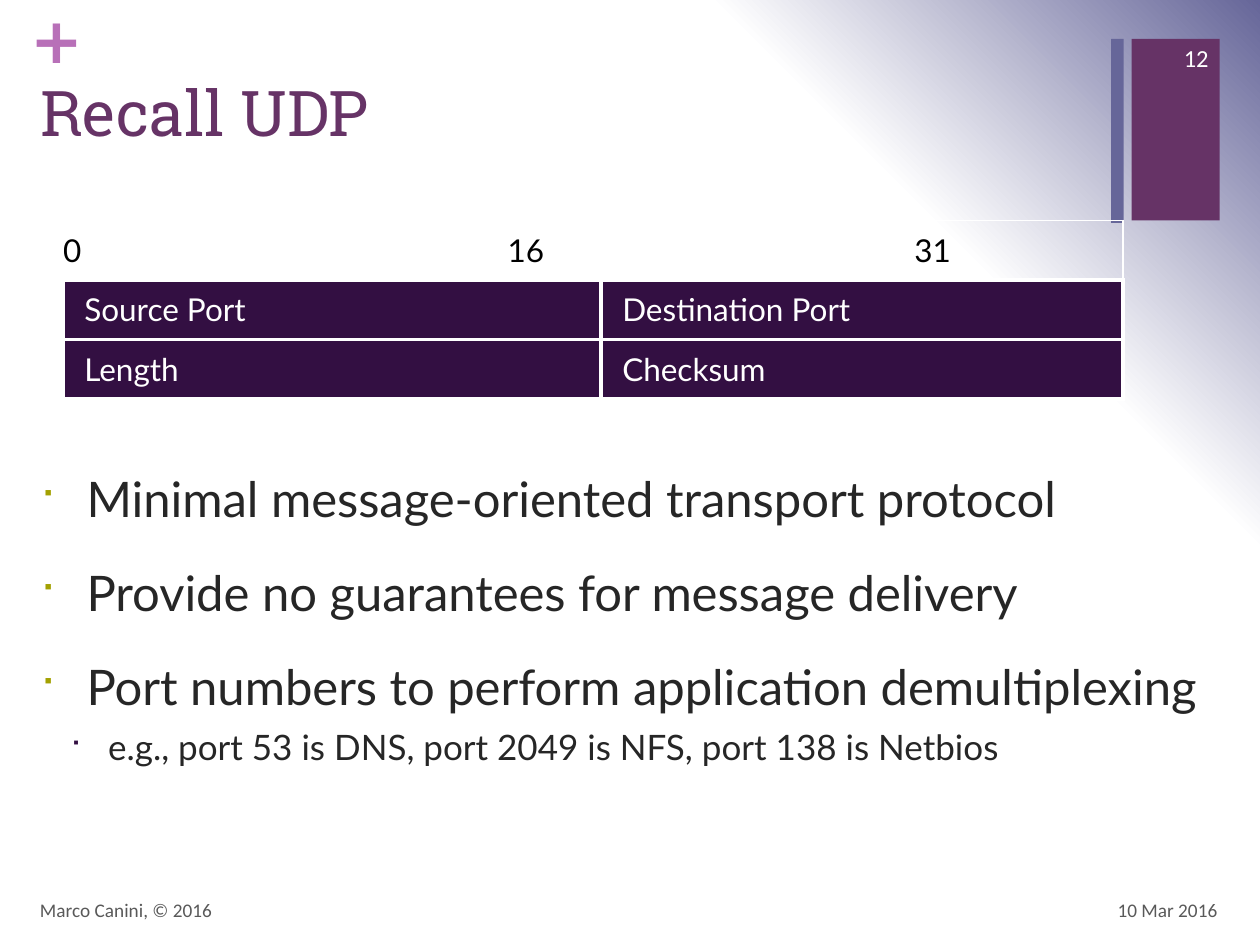
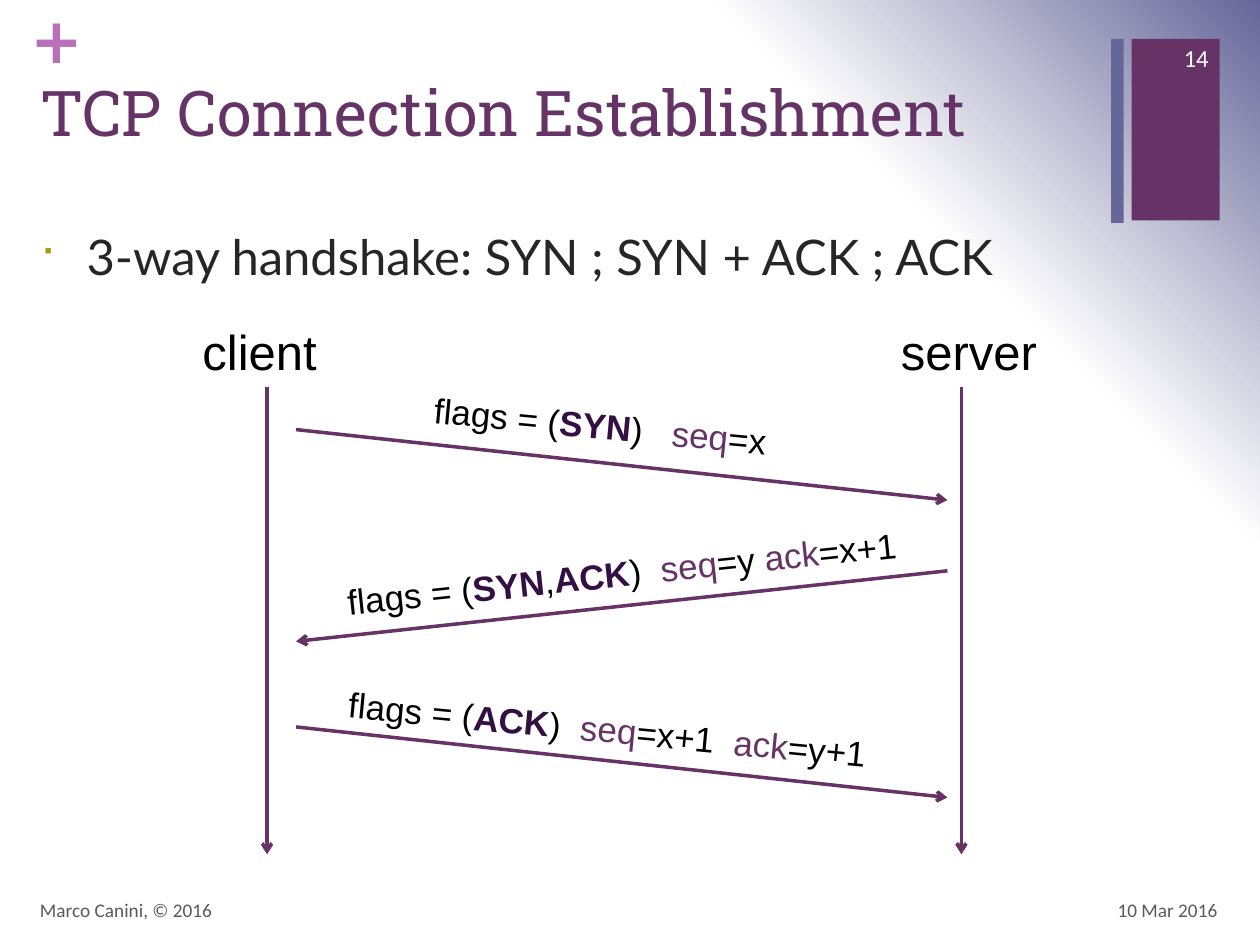
from dataclasses import dataclass

from pptx import Presentation
from pptx.dml.color import RGBColor
from pptx.enum.shapes import MSO_CONNECTOR, MSO_SHAPE
from pptx.enum.text import MSO_ANCHOR, PP_ALIGN
from pptx.oxml import parse_xml
from pptx.oxml.ns import nsdecls, qn
from pptx.util import Pt


@dataclass(frozen=True)
class Theme:
    # Colours
    purple: str = "663366"
    dark_purple: str = "330F42"
    slate: str = "666699"
    orchid: str = "B870B8"
    olive: str = "A3A101"
    body_text: str = "262626"
    footer_text: str = "595959"
    black: str = "000000"
    white: str = "FFFFFF"
    # Fonts
    title_font: str = "Roboto Slab"
    body_font: str = "Lato"
    diagram_font: str = "Arial"
    footer_font: str = "Calibri"
    plus_font: str = "DejaVu Sans"
    # Type sizes
    title_size: float = 36
    body_size: float = 28
    detail_size: float = 20
    table_size: float = 18
    number_size: float = 14
    footer_size: float = 11


THEME = Theme()
SPACE_WIDTH = 0.28  # width of a space, as a share of the type size


def add_run(paragraph, text, *, size, font, color, bold=False, spacing=0):
    run = paragraph.add_run()
    run.text = text
    run.font.size = Pt(size)
    run.font.name = font
    run.font.bold = bold
    run.font.color.rgb = RGBColor.from_string(color)
    if spacing:
        run._r.get_or_add_rPr().set("spc", str(round(spacing * 100)))


def add_properties(paragraph, *elements):
    properties = paragraph._p.get_or_add_pPr()
    for element in elements:
        properties.append(parse_xml(element.replace(" ", f" {nsdecls('a')} ", 1)))
    return properties


class Deck:
    def __init__(self, theme):
        self.theme = theme
        self.presentation = Presentation()
        self.presentation.slide_width = Pt(720)
        self.presentation.slide_height = Pt(540)
        self.slide = None

    # Shared slide frame
    def add_slide(self, title, number):
        theme = self.theme
        self.slide = self.presentation.slides.add_slide(
            self.presentation.slide_layouts[6])
        self.paint_background()
        self.rectangle(646.6, 22.3, 50.4, 103.7, theme.purple)
        self.text(17.3, 0, 20.9, 43.9, "+", inset=0, size=theme.title_size,
                  font=theme.plus_font, color=theme.orchid, bold=True)
        self.rectangle(635, 22.3, 7.2, 105.1, theme.slate)
        self.text(15.8, 38.2, 618.5, 87.8, title, size=theme.title_size,
                  font=theme.title_font, color=theme.purple)
        footer = dict(anchor=MSO_ANCHOR.MIDDLE, font=theme.footer_font)
        small = dict(footer, size=theme.footer_size, color=theme.footer_text)
        self.text(535, 505.4, 167.8, 28.8, "10 Mar 2016",
                  align=PP_ALIGN.RIGHT, **small)
        self.text(15.8, 505.4, 482.4, 28.8, "Marco Canini, © 2016", **small)
        self.text(653.8, 18.7, 43.9, 28.8, str(number), align=PP_ALIGN.RIGHT,
                  size=theme.number_size, color=theme.white, **footer)

    def paint_background(self):
        self.slide.background.fill.gradient()
        gradient = next(self.slide.element.iter(qn("a:gradFill")))
        stops = "".join(
            f'<a:gs pos="{position * 1000}"><a:srgbClr val="{color}"/></a:gs>'
            for position, color in ((0, self.theme.white), (75, self.theme.white),
                                    (100, self.theme.slate)))
        gradient.getparent().replace(gradient, parse_xml(
            f'<a:gradFill {nsdecls("a")} rotWithShape="1"><a:gsLst>{stops}</a:gsLst>'
            '<a:path path="circle"><a:fillToRect t="100000" r="100000"/></a:path>'
            '</a:gradFill>'))

    # Elements
    def rectangle(self, left, top, width, height, color):
        shape = self.slide.shapes.add_shape(
            MSO_SHAPE.RECTANGLE, Pt(left), Pt(top), Pt(width), Pt(height))
        shape.shadow.inherit = False
        shape.fill.solid()
        shape.fill.fore_color.rgb = RGBColor.from_string(color)
        shape.line.fill.background()

    def text_box(self, left, top, width, height, *, inset=None, rotation=0,
                 anchor=MSO_ANCHOR.TOP):
        box = self.slide.shapes.add_textbox(Pt(left), Pt(top), Pt(width), Pt(height))
        box.rotation = rotation
        frame = box.text_frame
        frame.word_wrap = True
        frame.vertical_anchor = anchor
        if inset is not None:
            frame.margin_left = frame.margin_right = Pt(inset)
            frame.margin_top = frame.margin_bottom = Pt(inset)
        return frame

    def text(self, left, top, width, height, text, *, align=PP_ALIGN.LEFT,
             anchor=MSO_ANCHOR.TOP, inset=None, **format):
        frame = self.text_box(left, top, width, height, inset=inset, anchor=anchor)
        paragraph = frame.paragraphs[0]
        paragraph.alignment = align
        add_run(paragraph, text, **format)

    def bullets(self, top, height, items):
        theme = self.theme
        # level: indent, hanging, space before, bullet colour, type size
        levels = ((26.6, 26.6, 20, theme.olive, theme.body_size),
                  (38.9, 21.6, 6, theme.dark_purple, theme.detail_size))
        frame = self.text_box(15.8, top, 686.9, height)
        for index, (level, text) in enumerate(items):
            indent, hanging, space, color, size = levels[level]
            paragraph = frame.add_paragraph() if index else frame.paragraphs[0]
            properties = add_properties(
                paragraph,
                f'<a:buClr ><a:srgbClr val="{color}"/></a:buClr>',
                '<a:buSzPct val="75000"/>',
                '<a:buFont typeface="Wingdings"/>',
                '<a:buChar char="■"/>')
            properties.set("marL", str(Pt(indent)))
            properties.set("indent", str(-Pt(hanging)))
            paragraph.level = level
            if index:
                paragraph.space_before = Pt(space)
            add_run(paragraph, text, size=size, font=theme.body_font,
                    color=theme.body_text)

    def header_table(self, left, top, widths, row_height, bits, tab_stops, rows):
        theme = self.theme
        table = self.slide.shapes.add_table(
            len(rows) + 1, len(widths), Pt(left), Pt(top), Pt(sum(widths)),
            Pt(row_height * (len(rows) + 1))).table
        table.first_row = table.horz_banding = False
        for column, width in zip(table.columns, widths):
            column.width = Pt(width)
        for row in table.rows:
            row.height = Pt(row_height)
        # Bit positions across the top
        ruler = table.cell(0, 0)
        ruler.merge(table.cell(0, len(widths) - 1))
        tabs = "".join(f'<a:tab pos="{Pt(stop)}" algn="l"/>' for stop in tab_stops)
        add_properties(ruler.text_frame.paragraphs[0],
                       f'<a:tabLst >{tabs}</a:tabLst>')
        self.fill_cell(ruler, "\t".join(bits), theme.black, margin=0, sides="B")
        # Header fields
        for row_index, fields in enumerate(rows, 1):
            for column_index, field in enumerate(fields):
                self.fill_cell(table.cell(row_index, column_index), field,
                               theme.white, fill=theme.dark_purple)

    def fill_cell(self, cell, text, color, *, fill=None, margin=12.2, sides="LRTB"):
        theme = self.theme
        cell.vertical_anchor = MSO_ANCHOR.MIDDLE
        cell.margin_left = cell.margin_right = Pt(margin)
        cell.margin_top = cell.margin_bottom = Pt(3.6)
        properties = cell._tc.get_or_add_tcPr()
        for side in sides:
            properties.append(parse_xml(
                f'<a:ln{side} {nsdecls("a")} w="{Pt(2.25)}"><a:solidFill>'
                f'<a:srgbClr val="{theme.white}"/></a:solidFill></a:ln{side}>'))
        if fill:
            cell.fill.solid()
            cell.fill.fore_color.rgb = RGBColor.from_string(fill)
        else:
            cell.fill.background()
        add_run(cell.text_frame.paragraphs[0], text, size=theme.table_size,
                font=theme.body_font, color=color)

    def arrow(self, start_x, start_y, end_x, end_y):
        connector = self.slide.shapes.add_connector(
            MSO_CONNECTOR.STRAIGHT, Pt(start_x), Pt(start_y), Pt(end_x), Pt(end_y))
        connector.line.width = Pt(2)
        connector.line.color.rgb = RGBColor.from_string(self.theme.purple)
        connector.line._get_or_add_ln().append(
            parse_xml(f'<a:tailEnd {nsdecls("a")} type="arrow"/>'))
        connector._element.spPr.append(parse_xml(f'<a:effectLst {nsdecls("a")}/>'))

    def message(self, left, top, width, rotation, parts):
        """Parts are (kind, text) pairs; a gap gives its width in spaces."""
        theme = self.theme
        colors = dict(plain=theme.black, flag=theme.dark_purple,
                      field=theme.purple, gap=theme.black)
        size = theme.detail_size
        frame = self.text_box(left, top, width, 31.7, rotation=rotation)
        paragraph = frame.paragraphs[0]
        paragraph.alignment = PP_ALIGN.CENTER
        for kind, value in parts:
            is_gap = kind == "gap"
            add_run(paragraph, " " if is_gap else value, size=size,
                    font=theme.diagram_font, color=colors[kind],
                    bold=kind == "flag",
                    spacing=(value - 1) * SPACE_WIDTH * size if is_gap else 0)


def build_udp_slide(deck):
    deck.add_slide("Recall UDP", 12)
    deck.bullets(264.2, 241.9, [
        (0, "Minimal message-oriented transport protocol"),
        (0, "Provide no guarantees for message delivery"),
        (0, "Port numbers to perform application demultiplexing"),
        (1, "e.g., port 53 is DNS, port 2049 is NFS, port 138 is Netbios"),
    ])
    deck.header_table(36, 126, (307.4, 298.4), 34, ("0", "16", "31"), (254, 486.5),
                      [("Source Port", "Destination Port"), ("Length", "Checksum")])


def build_tcp_slide(deck):
    theme = deck.theme
    deck.add_slide("TCP Connection Establishment", 14)
    deck.bullets(126, 379.4, [(0, "3-way handshake: SYN ; SYN + ACK ; ACK")])

    # Hosts and their time lines
    for name, line_x, label_left in (("client", 152.6, 95.8),
                                     ("server", 549.4, 501.1)):
        deck.arrow(line_x, 221, line_x, 488.2)
        deck.text(label_left, 180, 105.1, 41, name, align=PP_ALIGN.CENTER,
                  size=theme.body_size, font=theme.diagram_font, color=theme.black)

    # Messages between the hosts
    client_x, server_x, drop = 169.2, 541.4, 40.3
    for start_x, end_x, top in ((client_x, server_x, 245.5),
                                (server_x, client_x, 326.2),
                                (client_x, server_x, 415.4)):
        deck.arrow(start_x, top, end_x, top + drop)

    opening = ("plain", "flags = (")
    closing = ("plain", ")")
    sequence, acknowledge = ("field", "seq"), ("field", "ack")
    deck.message(208.8, 227.5, 268.6, 5.5, [
        opening, ("flag", "SYN"), closing, ("gap", 3), sequence, ("plain", "=x")])
    deck.message(153.4, 311.8, 403.9, 354, [
        opening, ("flag", "SYN"), ("plain", ","), ("flag", "ACK"), closing, ("gap", 2),
        sequence, ("plain", "=y "), acknowledge, ("plain", "=x+1")])
    deck.message(151.9, 401, 390.2, 5.5, [
        opening, ("flag", "ACK"), closing, ("gap", 2), sequence, ("plain", "=x+1"),
        ("gap", 2), acknowledge, ("plain", "=y+1")])


def main():
    deck = Deck(THEME)
    build_udp_slide(deck)
    build_tcp_slide(deck)
    deck.presentation.save("out.pptx")


if __name__ == "__main__":
    main()
